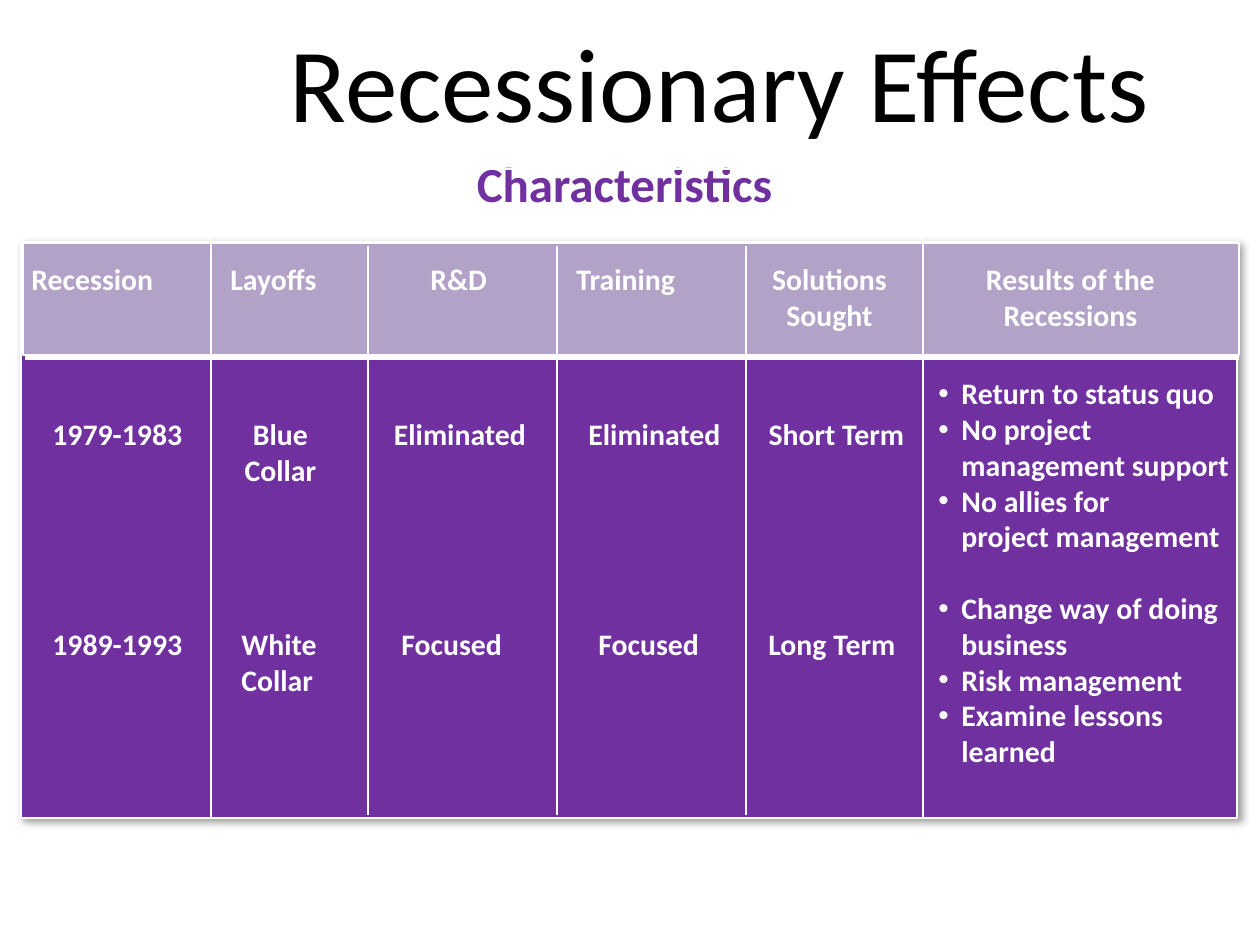
from copy import deepcopy
from dataclasses import dataclass

from lxml import etree
from pptx import Presentation
from pptx.dml.color import RGBColor
from pptx.enum.shapes import MSO_CONNECTOR, MSO_SHAPE
from pptx.enum.text import MSO_ANCHOR, PP_ALIGN
from pptx.oxml.ns import qn
from pptx.util import Emu, Pt

PX = 914400 / 126
FONT = "Calibri"
BLACK = RGBColor(0x00, 0x00, 0x00)
WHITE = RGBColor(0xFF, 0xFF, 0xFF)
PURPLE = RGBColor(0x70, 0x30, 0xA0)
LILAC = RGBColor(0xB3, 0xA2, 0xC7)
LEFT, CENTER = PP_ALIGN.LEFT, PP_ALIGN.CENTER
TOP, MIDDLE = MSO_ANCHOR.TOP, MSO_ANCHOR.MIDDLE
RECT, STRAIGHT = MSO_SHAPE.RECTANGLE, MSO_CONNECTOR.STRAIGHT

HEADER_Y, FIRST_Y, SECOND_Y = 255, 410, 620
LINE_H, PAD_H = 36, 12
BULLET_INDENT = 23


@dataclass
class Cell:
    text: str
    x: int
    y: int
    w: int
    align: PP_ALIGN = CENTER
    wrap: bool = False


CELLS = [
    Cell("Recession", 19, HEADER_Y, 147, LEFT),
    Cell("Layoffs", 218, HEADER_Y, 113, LEFT),
    Cell("R&D", 418, HEADER_Y, 82, LEFT),
    Cell("Training", 564, HEADER_Y, 125, LEFT),
    Cell("Solutions\nSought", 759, HEADER_Y, 141),
    Cell("Results of the\nRecessions", 973, HEADER_Y, 195),
    Cell("1979-1983", 40, FIRST_Y, 156, LEFT),
    Cell("Blue\nCollar", 232, FIRST_Y, 97),
    Cell("Eliminated", 381, FIRST_Y, 158),
    Cell("Eliminated", 551, FIRST_Y, 207, wrap=True),
    Cell("Short Term", 756, FIRST_Y, 161),
    Cell("1989-1993", 40, SECOND_Y, 156, LEFT),
    Cell("White\nCollar", 229, SECOND_Y, 101, LEFT),
    Cell("Focused", 389, SECOND_Y, 126, LEFT),
    Cell("Focused", 586, SECOND_Y, 126, LEFT),
    Cell("Long Term", 756, SECOND_Y, 161, LEFT, wrap=True),
]

FIRST_RESULTS = ["Return to status quo", "No project management support",
                 "No allies for\nproject management"]
SECOND_RESULTS = ["Change way of doing\nbusiness", "Risk management",
                  "Examine lessons\nlearned"]


def px(n: float) -> Emu:
    return Emu(round(n * PX))


def add_text(s, lines: list[str], x: int, y: int, w: int, h: int, *, size=17,
             color=WHITE, bold=True, align=LEFT, anchor=TOP, wrap=False):
    tf = s.shapes.add_textbox(px(x), px(y), px(w), px(h)).text_frame
    tf.word_wrap, tf.vertical_anchor = wrap, anchor
    for i, line in enumerate(lines):
        p = tf.add_paragraph() if i else tf.paragraphs[0]
        p.text, p.alignment = line, align
        for r in p.runs:
            r.font.name, r.font.size, r.font.bold = FONT, Pt(size), bold
            r.font.color.rgb = color
        # Line breaks take the size of the text around them
        for br in p._p.findall(qn("a:br")):
            br.append(deepcopy(p.runs[0]._r.rPr))
    return tf


def add_bullet(p) -> None:
    pPr = p._p.get_or_add_pPr()
    pPr.set("marL", str(px(BULLET_INDENT)))
    pPr.set("indent", str(-px(BULLET_INDENT)))
    etree.SubElement(pPr, qn("a:buFont"), typeface="Arial")
    etree.SubElement(pPr, qn("a:buChar"), char="•")


def add_rect(s, x: int, y: int, w: int, h: int, fill: RGBColor | None = None):
    sp = s.shapes.add_shape(RECT, px(x), px(y), px(w), px(h))
    sp.shadow.inherit = False
    if fill is None:
        sp.fill.background()
    else:
        sp.fill.solid()
        sp.fill.fore_color.rgb = fill
    sp.line.color.rgb, sp.line.width = WHITE, Pt(1)
    return sp


def add_shadow(sp) -> None:
    effects = sp._element.spPr.find(qn("a:effectLst"))
    shadow = etree.SubElement(effects, qn("a:outerShdw"), blurRad=str(Pt(4)),
                              dist=str(px(16)), dir="2700000", algn="tl",
                              rotWithShape="0")
    shadow.set("dist", str(Pt(3)))
    color = etree.SubElement(shadow, qn("a:srgbClr"), val=str(BLACK))
    etree.SubElement(color, qn("a:alpha"), val="40000")


def add_line(s, x1: int, y1: int, x2: int, y2: int, width: int = 1) -> None:
    c = s.shapes.add_connector(STRAIGHT, px(x1), px(y1), px(x2), px(y2))
    c.line.color.rgb, c.line.width = WHITE, Pt(width)
    etree.SubElement(c._element.spPr, qn("a:effectLst"))


def main() -> None:
    prs = Presentation()
    prs.slide_width, prs.slide_height = px(1260), px(945)
    s = prs.slides.add_slide(prs.slide_layouts[6])

    # Panel and header band
    add_shadow(add_rect(s, 21, 242, 1216, 576, PURPLE))
    add_rect(s, 23, 243, 1216, 112, LILAC)

    # Headings
    add_text(s, ["Recessionary Effects"], 126, 5, 1187, 152, size=60,
             color=BLACK, bold=False, align=CENTER, anchor=MIDDLE, wrap=True)
    add_text(s, ["Characteristics"], 462, 147, 325, 72, size=28,
             color=PURPLE, align=CENTER)

    # Column and header rules
    for i in range(3):
        x = 368 + 189 * i
        add_line(s, x, 246, x, 815)
    add_rect(s, 211, 169, 712, 649)
    add_line(s, 25, 357, 1239, 357, 3)

    # Cell texts
    for c in CELLS:
        h = PAD_H + LINE_H * len(c.text.split("\n"))
        add_text(s, [c.text], c.x, c.y, c.w, h, align=c.align, wrap=c.wrap)

    # Results of both recessions
    tf = add_text(s, FIRST_RESULTS + SECOND_RESULTS, 926, 369, 323, 410,
                  wrap=True)
    tf.paragraphs[len(FIRST_RESULTS)].space_before = px(LINE_H)
    for p in tf.paragraphs:
        add_bullet(p)

    prs.save("out.pptx")


if __name__ == "__main__":
    main()
